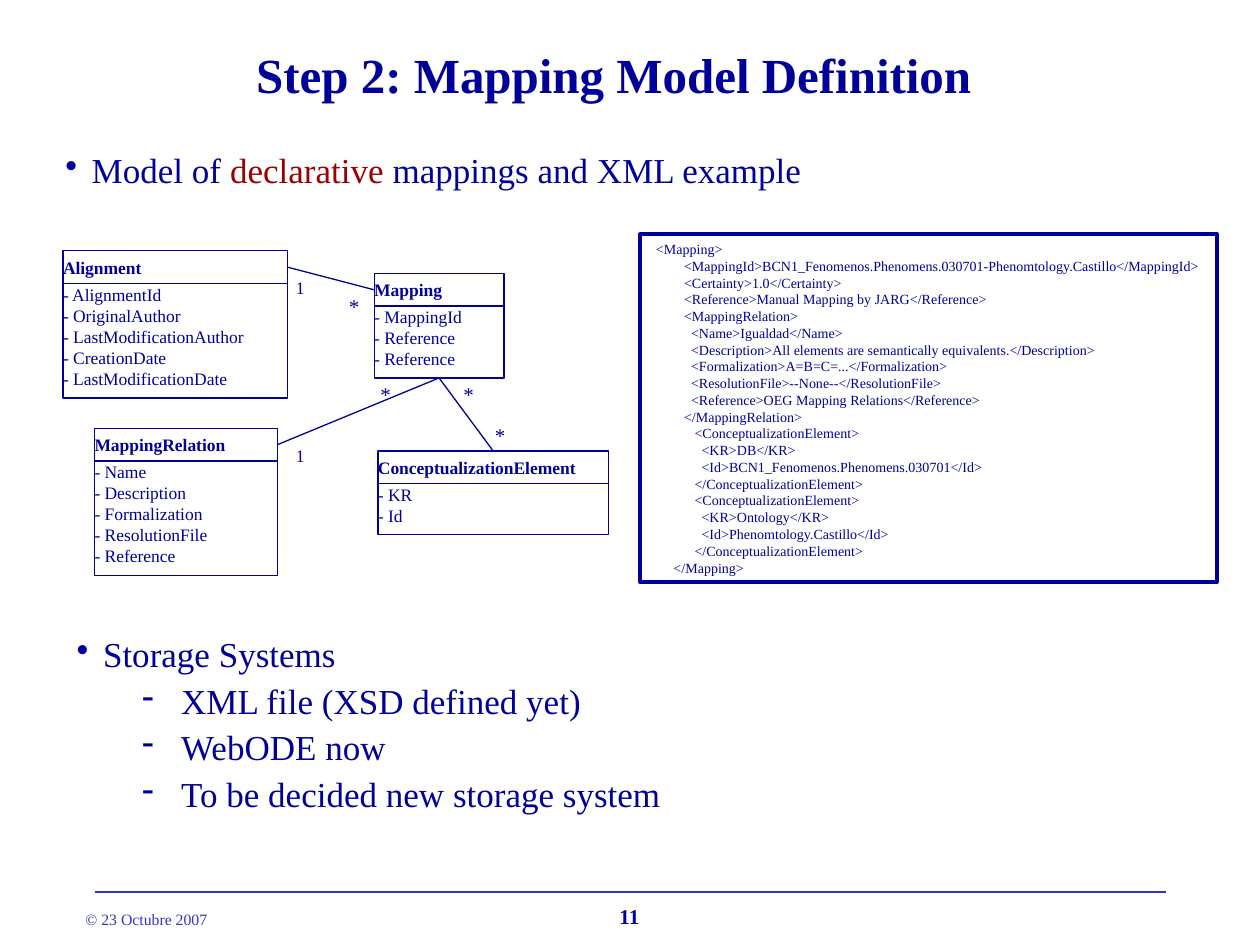
from dataclasses import dataclass

from lxml import etree
from pptx import Presentation
from pptx import util as u
from pptx.dml import color
from pptx.enum import shapes, text
from pptx.oxml import ns


@dataclass(frozen=True)
class Theme:
    """Colours, font and type sizes of the slide."""
    navy: str = "000099"
    red: str = "990000"
    blue: str = "3333CC"
    white: str = "FFFFFF"
    font: str = "Times New Roman"
    title: int = 28
    body: int = 20
    symbol: int = 12
    label: int = 10
    footer: int = 9
    code: int = 8


THEME = Theme()
HEADER_HEIGHT = 0.26
ROW_HEIGHT = 0.17
TOP, LEFT, BOTTOM, RIGHT = range(4)

XML_LINES = (
    " <Mapping>",
    "         <MappingId>BCN1_Fenomenos.Phenomens.030701-Phenomtology.Castillo</MappingId>",
    "         <Certainty>1.0</Certainty>",
    "         <Reference>Manual Mapping by JARG</Reference>",
    "         <MappingRelation>",
    "           <Name>Igualdad</Name>",
    "           <Description>All elements are semantically equivalents.</Description>",
    "           <Formalization>A=B=C=...</Formalization>",
    "           <ResolutionFile>--None--</ResolutionFile>",
    "           <Reference>OEG Mapping Relations</Reference>",
    "         </MappingRelation>",
    "            <ConceptualizationElement>",
    "              <KR>DB</KR>",
    "              <Id>BCN1_Fenomenos.Phenomens.030701</Id>",
    "            </ConceptualizationElement>",
    "            <ConceptualizationElement>",
    "              <KR>Ontology</KR>",
    "              <Id>Phenomtology.Castillo</Id>",
    "            </ConceptualizationElement>",
    "      </Mapping>",
)

CLASSES = {
    "Alignment": (0.08, 0.13, 1.78, (
        "AlignmentId", "OriginalAuthor", "LastModificationAuthor",
        "CreationDate", "LastModificationDate")),
    "Mapping": (2.55, 0.31, 1.03, ("MappingId", "Reference", "Reference")),
    "MappingRelation": (0.33, 1.54, 1.45, (
        "Name", "Description", "Formalization", "ResolutionFile", "Reference")),
    "ConceptualizationElement": (2.58, 1.72, 1.83, ("KR", "Id")),
}

MULTIPLICITIES = (
    ("*", 2.25, 0.44), ("*", 3.16, 1.14), ("*", 3.41, 1.47),
    ("*", 2.5, 1.14), ("1", 1.83, 1.64), ("1", 1.83, 0.31),
)


def rgb(value):
    """Turn a hex string into a colour."""
    return color.RGBColor.from_string(value)


def add_run(paragraph, wording, size, ink=THEME.navy, bold=False):
    """Append one formatted run to a paragraph."""
    run = paragraph.add_run()
    run.text = wording
    run.font.name = THEME.font
    run.font.size = u.Pt(size)
    run.font.bold = bold
    run.font.color.rgb = rgb(ink)


def fill_text(shape, lines, size, ink=THEME.navy, bold=False, wrap=True,
              align=text.PP_ALIGN.LEFT, anchor=text.MSO_ANCHOR.TOP,
              insets=(0.1, 0.05), spacing=None):
    """Write lines of one format into a shape."""
    frame = shape.text_frame
    frame.word_wrap = wrap
    frame.vertical_anchor = anchor
    frame.margin_left = frame.margin_right = u.Inches(insets[0])
    frame.margin_top = frame.margin_bottom = u.Inches(insets[1])
    for index, line in enumerate(lines):
        paragraph = frame.add_paragraph() if index else frame.paragraphs[0]
        paragraph.alignment = align
        paragraph.line_spacing = spacing
        add_run(paragraph, line, size, ink, bold)


def add_text(slide, box, lines, size, **formatting):
    """Add a text box with formatted lines."""
    shape = slide.shapes.add_textbox(*map(u.Inches, box))
    fill_text(shape, lines, size, **formatting)
    return shape


def add_box(slide, box, width, fill=None):
    """Add an outlined rectangle."""
    shape = slide.shapes.add_shape(
        shapes.MSO_SHAPE.RECTANGLE, *map(u.Inches, box))
    shape.shadow.inherit = False
    if fill:
        shape.fill.solid()
        shape.fill.fore_color.rgb = rgb(fill)
    else:
        shape.fill.background()
    shape.line.color.rgb = rgb(THEME.navy)
    shape.line.width = u.Pt(width)
    return shape


def add_line(slide, start, end, ink, width):
    """Add a straight connector without a shadow."""
    line = slide.shapes.add_connector(
        shapes.MSO_CONNECTOR.STRAIGHT, *map(u.Inches, (*start, *end)))
    line.line.color.rgb = rgb(ink)
    line.line.width = u.Pt(width)
    etree.SubElement(line._element.spPr, ns.qn("a:effectLst"))
    return line


def add_bullets(slide, box, items):
    """Add a list whose items are (bullet, indent, hanging, runs)."""
    frame = add_text(slide, box, (), THEME.body).text_frame
    for index, (bullet, indent, hanging, runs) in enumerate(items):
        paragraph = frame.add_paragraph() if index else frame.paragraphs[0]
        properties = paragraph._p.get_or_add_pPr()
        properties.set("marL", str(u.Inches(indent)))
        properties.set("indent", str(-u.Inches(hanging)))
        etree.SubElement(properties, ns.qn("a:buChar"), char=bullet)
        paragraph.line_spacing = 0.9
        if index:
            paragraph.space_before = u.Pt(5)
        for wording, ink in runs:
            add_run(paragraph, wording, THEME.body, ink)


def add_class(slide, box, name, attributes):
    """Add a class header with its attributes below and return both parts."""
    left, top, width = box
    header = add_box(slide, (left, top, width, HEADER_HEIGHT), 0.75)
    fill_text(header, (name,), THEME.label, bold=True, insets=(0, 0.05),
              anchor=text.MSO_ANCHOR.MIDDLE)
    height = ROW_HEIGHT * len(attributes) + 0.06
    body = add_box(slide, (left, top + HEADER_HEIGHT, width, height), 0.75)
    fill_text(body, [f"- {attribute}" for attribute in attributes],
              THEME.label, insets=(0, 0))
    return header, body


def add_class_diagram(slide, left, top):
    """Add the linked classes and their multiplicities."""
    parts = {name: add_class(slide, (left + x, top + y, width), name, attributes)
             for name, (x, y, width, attributes) in CLASSES.items()}
    header, body = parts["Mapping"]
    links = (
        (parts["Alignment"][0], RIGHT, header, LEFT),
        (body, BOTTOM, parts["ConceptualizationElement"][0], TOP),
        (body, BOTTOM, parts["MappingRelation"][0], RIGHT),
    )
    for source, source_side, target, target_side in links:
        line = add_line(slide, (left, top), (left, top), THEME.navy, 0.75)
        line.begin_connect(source, source_side)
        line.end_connect(target, target_side)
    for sign, x, y in MULTIPLICITIES:
        size = THEME.symbol if sign == "*" else THEME.label
        add_text(slide, (left + x, top + y, 0.25, 0.28), (sign,), size,
                 spacing=0.9)


def add_xml_example(slide, box):
    """Add the framed listing of one mapping."""
    frame = add_box(slide, box, 2.25, THEME.white)
    fill_text(frame, XML_LINES, THEME.code)


def add_footer(slide, left, top, width):
    """Add the rule, the date and the slide number."""
    add_line(slide, (left, top), (left + width, top), THEME.blue, 1)
    add_text(slide, (left - 0.17, top + 0.09, 1.17, 0.25),
             ("© 23 Octubre 2007",), THEME.footer, ink=THEME.blue, wrap=False)
    add_text(slide, (left + 3.77, top + 0.04, 0.95, 0.3), ("11",),
             THEME.symbol, bold=True, align=text.PP_ALIGN.CENTER)


def main():
    """Build and save the slide."""
    presentation = Presentation()
    presentation.slide_width, presentation.slide_height = u.Inches(10), u.Inches(7.5)
    slide = presentation.slides.add_slide(presentation.slide_layouts[6])
    add_footer(slide, 0.75, 7.08, 8.5)
    add_text(slide, (0.62, 0.17, 8.5, 0.83),
             ("Step 2: Mapping Model Definition",), THEME.title, bold=True,
             align=text.PP_ALIGN.CENTER, anchor=text.MSO_ANCHOR.MIDDLE)
    add_bullets(slide, (0.42, 1.17, 7, 0.45), [("•", 0.21, 0.21, (
        ("Model of ", THEME.navy), ("declarative", THEME.red),
        (" mappings and XML example", THEME.navy)))])
    add_xml_example(slide, (5.08, 1.86, 4.58, 2.76))
    add_class_diagram(slide, 0.42, 1.86)
    systems = ("XML file (XSD defined yet)", "WebODE now",
               "To be decided new storage system")
    add_bullets(slide, (0.51, 5.01, 6.53, 1.73), [
        ("•", 0.21, 0.21, (("Storage Systems", THEME.navy),)),
        *(("-", 0.83, 0.31, ((name, THEME.navy),)) for name in systems)])
    presentation.save("out.pptx")


if __name__ == "__main__":
    main()
